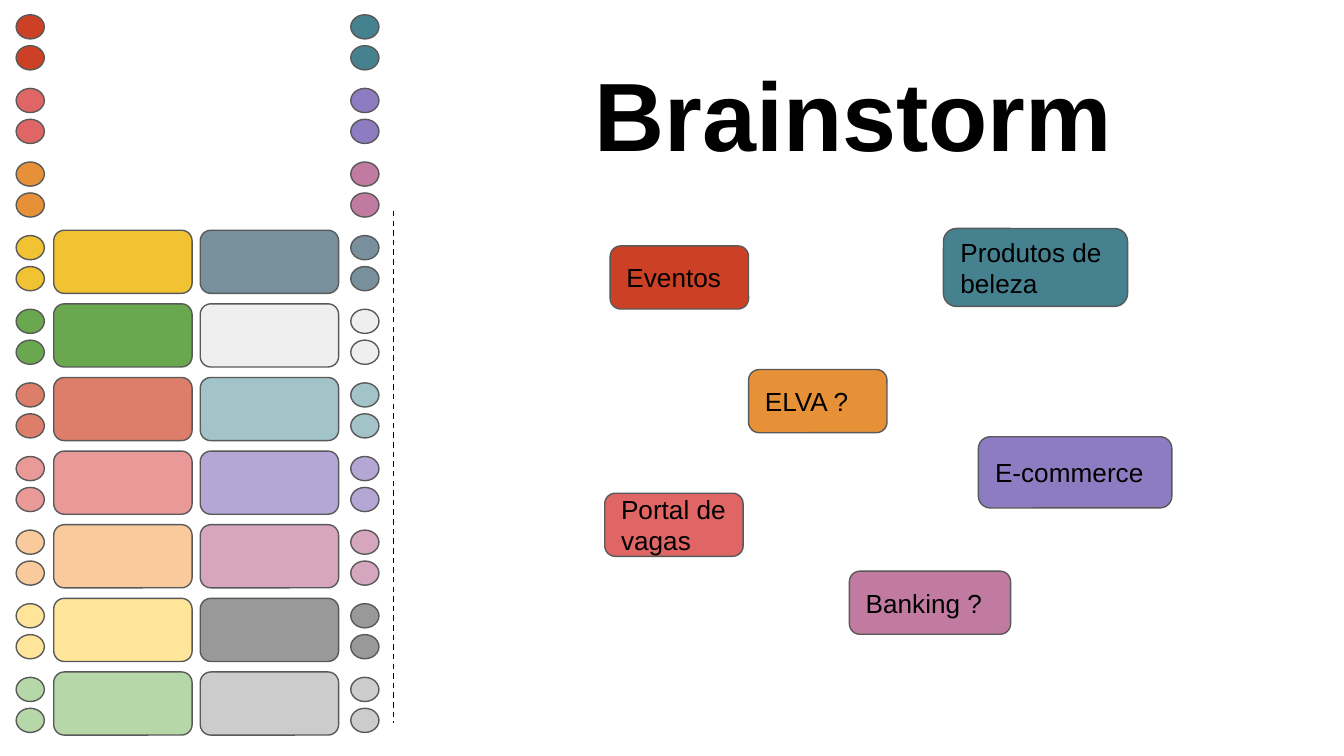
from pptx import Presentation
from pptx.dml.color import RGBColor
from pptx.enum.dml import MSO_LINE
from pptx.enum.shapes import MSO_CONNECTOR, MSO_SHAPE
from pptx.enum.text import MSO_ANCHOR, PP_ALIGN
from pptx.oxml.ns import qn
from pptx.util import Inches, Pt
from lxml import etree

BLACK = RGBColor(0x00, 0x00, 0x00)
OUTLINE = RGBColor(0x59, 0x59, 0x59)
RED = RGBColor(0xCC, 0x41, 0x25)
CORAL = RGBColor(0xE0, 0x66, 0x66)
ORANGE = RGBColor(0xE6, 0x91, 0x38)
YELLOW = RGBColor(0xF1, 0xC2, 0x32)
GREEN = RGBColor(0x6A, 0xA8, 0x4F)
LIGHT_RED = RGBColor(0xDD, 0x7E, 0x6B)
LIGHT_CORAL = RGBColor(0xEA, 0x99, 0x99)
LIGHT_ORANGE = RGBColor(0xF9, 0xCB, 0x9C)
LIGHT_YELLOW = RGBColor(0xFF, 0xE5, 0x99)
LIGHT_GREEN = RGBColor(0xB6, 0xD7, 0xA8)
TEAL = RGBColor(0x45, 0x81, 0x8E)
PURPLE = RGBColor(0x8E, 0x7C, 0xC3)
MAGENTA = RGBColor(0xC2, 0x7B, 0xA0)
SLATE = RGBColor(0x78, 0x90, 0x9C)
PALE_GRAY = RGBColor(0xEF, 0xEF, 0xEF)
LIGHT_TEAL = RGBColor(0xA2, 0xC4, 0xC9)
LIGHT_PURPLE = RGBColor(0xB4, 0xA7, 0xD6)
LIGHT_MAGENTA = RGBColor(0xD5, 0xA6, 0xBD)
GRAY = RGBColor(0x99, 0x99, 0x99)
LIGHT_GRAY = RGBColor(0xCC, 0xCC, 0xCC)

# Content
TITLE = "Brainstorm"
IDEAS = [  # text, fill, left, top, width, height
    ("Eventos", RED, 4.54, 1.83, 1.03, 0.47),
    ("Portal de vagas", CORAL, 4.5, 3.67, 1.03, 0.47),
    ("ELVA ?", ORANGE, 5.57, 2.75, 1.03, 0.47),
    ("Produtos de beleza", TEAL, 7.02, 1.7, 1.37, 0.58),
    ("E-commerce", PURPLE, 7.28, 3.25, 1.44, 0.53),
    ("Banking ?", MAGENTA, 6.32, 4.25, 1.2, 0.47),
]
PALETTE = [  # dot left, card left, colours from top to bottom
    (0.12, 0.4, [RED, CORAL, ORANGE, YELLOW, GREEN, LIGHT_RED, LIGHT_CORAL,
                 LIGHT_ORANGE, LIGHT_YELLOW, LIGHT_GREEN]),
    (2.61, 1.49, [TEAL, PURPLE, MAGENTA, SLATE, PALE_GRAY, LIGHT_TEAL,
                  LIGHT_PURPLE, LIGHT_MAGENTA, GRAY, LIGHT_GRAY]),
]

# Palette grid
FIRST_ROW, LAST_ROW = 0.11, 5.04
ROW_STEP = (LAST_ROW - FIRST_ROW) / 9
DOT_STEP = 0.23
CARD_RISE = 0.04
FIRST_CARD_ROW = 3  # the rows above have handed their cards to the ideas

# Widescreen slide, 16:9
prs = Presentation()
prs.slide_width = Inches(10)
prs.slide_height = Inches(10 * 9 / 16)
slide = prs.slides.add_slide(prs.slide_layouts[6])


def add_piece(kind, fill, *box):
    piece = slide.shapes.add_shape(kind, *map(Inches, box))
    piece.shadow.inherit = False
    piece.fill.solid()
    piece.fill.fore_color.rgb = fill
    piece.line.color.rgb = OUTLINE
    piece.line.width = Pt(0.75)
    return piece


def write(shape, text, size, align, anchor, bold=False):
    frame = shape.text_frame
    frame.text = text
    frame.word_wrap = True
    frame.vertical_anchor = anchor
    frame.margin_left = frame.margin_right = Inches(0.1)
    frame.margin_top = frame.margin_bottom = Inches(0.1)
    paragraph = frame.paragraphs[0]
    paragraph.alignment = align
    font = paragraph.runs[0].font
    font.name, font.size, font.bold = "Arial", Pt(size), bold
    font.color.rgb = BLACK


# Title
title = slide.shapes.add_textbox(*map(Inches, (3.04, 0.23, 6.62, 1.14)))
write(title, TITLE, 52, PP_ALIGN.CENTER, MSO_ANCHOR.BOTTOM, bold=True)

# Palette: two dots per colour, and a blank card where one remains
for dot_left, card_left, colours in PALETTE:
    for row, colour in enumerate(colours):
        top = FIRST_ROW + row * ROW_STEP
        for dot in range(2):
            add_piece(MSO_SHAPE.OVAL, colour, dot_left, top + dot * DOT_STEP, 0.21, 0.18)
        if row >= FIRST_CARD_ROW:
            add_piece(MSO_SHAPE.ROUNDED_RECTANGLE, colour, card_left, top - CARD_RISE, 1.03, 0.47)

# Dashed divider
divider = slide.shapes.add_connector(
    MSO_CONNECTOR.STRAIGHT, *map(Inches, (2.93, 1.57, 2.93, 5.38)))
divider.line.color.rgb = BLACK
divider.line.width = Pt(0.75)
divider.line.dash_style = MSO_LINE.DASH
etree.SubElement(divider._element.spPr, qn("a:effectLst"))

# Ideas
for text, fill, *box in IDEAS:
    idea = add_piece(MSO_SHAPE.ROUNDED_RECTANGLE, fill, *box)
    write(idea, text, 14, PP_ALIGN.LEFT, MSO_ANCHOR.MIDDLE)

prs.save("out.pptx")
